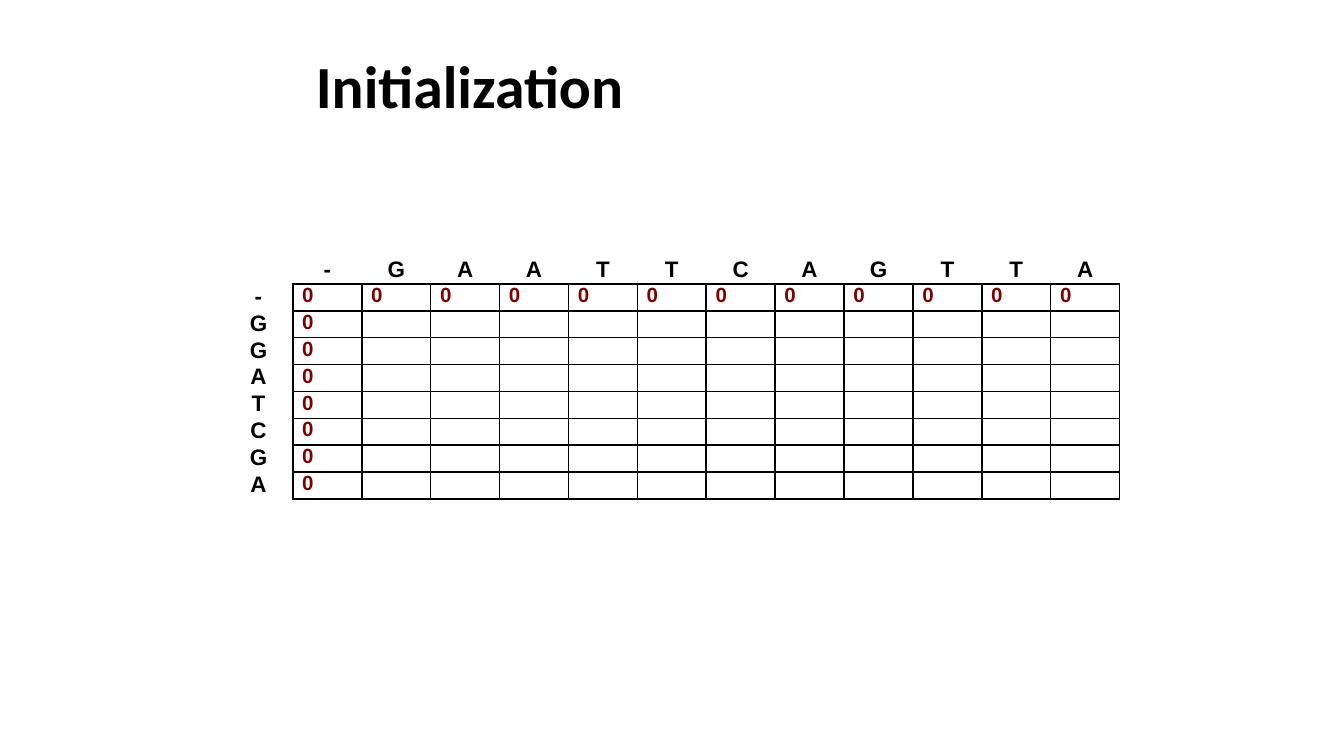
from lxml.etree import SubElement
from pptx import Presentation
from pptx.dml.color import RGBColor
from pptx.enum.text import MSO_ANCHOR as Anchor, PP_ALIGN as Align
from pptx.oxml import parse_xml
from pptx.oxml.ns import nsdecls, qn
from pptx.util import Inches, Pt

COLORS = {"ink": "000000", "score": "800000"}
WIDTH = 10
HEIGHT = WIDTH * 9 / 16
TOP_SEQUENCE = "-GAATTCAGTTA"
SIDE_SEQUENCE = "-GGATCGA"
COLUMNS, ROWS = len(TOP_SEQUENCE) + 1, len(SIDE_SEQUENCE) + 1
ROW_HEIGHT = 0.2
TITLE_ONLY = 5


def write(frame, text, size=12, color="ink", font="Arial", align=Align.LEFT):
    """Put one bold line of text in a text frame."""
    para = frame.paragraphs[0]
    para.alignment = align
    span = para.add_run()
    span.text = text
    span.font.name = font
    span.font.size = Pt(size)
    span.font.bold = True
    span.font.color.rgb = RGBColor.from_string(COLORS[color])


def set_borders(cell, visible_sides):
    """Draw the given sides (L, R, T, B) and hide the others."""
    properties = cell._tc.get_or_add_tcPr()
    for index, side in enumerate("LRTB"):
        fill = "<a:noFill/>"
        if side in visible_sides:
            fill = f'<a:solidFill><a:srgbClr val="{COLORS["ink"]}"/></a:solidFill>'
        line = parse_xml(f'<a:ln{side} {nsdecls("a")} w="{Pt(1)}">{fill}</a:ln{side}>')
        properties.insert(index, line)


def visible_sides(row, column):
    """Frame the score cells; labels share only the edge that touches them."""
    if row and column:
        return "LRTB"
    if row:
        return "R"
    return "B" if column else ""


def fill_cell(cell, row, column):
    cell.margin_left = cell.margin_right = Inches(0.07)
    cell.margin_top = cell.margin_bottom = 0
    cell.fill.background()
    set_borders(cell, visible_sides(row, column))

    if row == 0 and column:
        write(cell.text_frame, TOP_SEQUENCE[column - 1], align=Align.CENTER)
    elif column == 0 and row:
        write(cell.text_frame, SIDE_SEQUENCE[row - 1], align=Align.CENTER)
    elif 1 in (row, column):
        write(cell.text_frame, "0", size=11, color="score")
    else:
        # A small end mark keeps empty cells from stretching the row
        end_mark = SubElement(cell.text_frame.paragraphs[0]._p, qn("a:endParaRPr"))
        end_mark.set("sz", "1100")


def add_title(page, text):
    title = page.shapes.title
    title.left, title.top = Inches(2.25), Inches(0.31)
    title.width, title.height = Inches(5.42), Inches(0.64)
    title.text_frame.word_wrap = True
    title.text_frame.vertical_anchor = Anchor.TOP
    write(title.text_frame, text, size=32, font="Calibri")


def add_matrix(page):
    # The matrix takes the middle two thirds of the slide's width
    table = page.shapes.add_table(
        ROWS, COLUMNS, Inches(WIDTH / 6), Inches(HEIGHT * 0.34),
        Inches(WIDTH * 2 / 3), Inches(ROWS * ROW_HEIGHT)).table
    table.first_row = table.horz_banding = False
    for row in range(ROWS):
        for column in range(COLUMNS):
            fill_cell(table.cell(row, column), row, column)


def main():
    deck = Presentation()
    deck.slide_width, deck.slide_height = Inches(WIDTH), Inches(HEIGHT)
    page = deck.slides.add_slide(deck.slide_layouts[TITLE_ONLY])
    add_title(page, "Initialization")
    add_matrix(page)
    deck.save("out.pptx")


if __name__ == "__main__":
    main()
